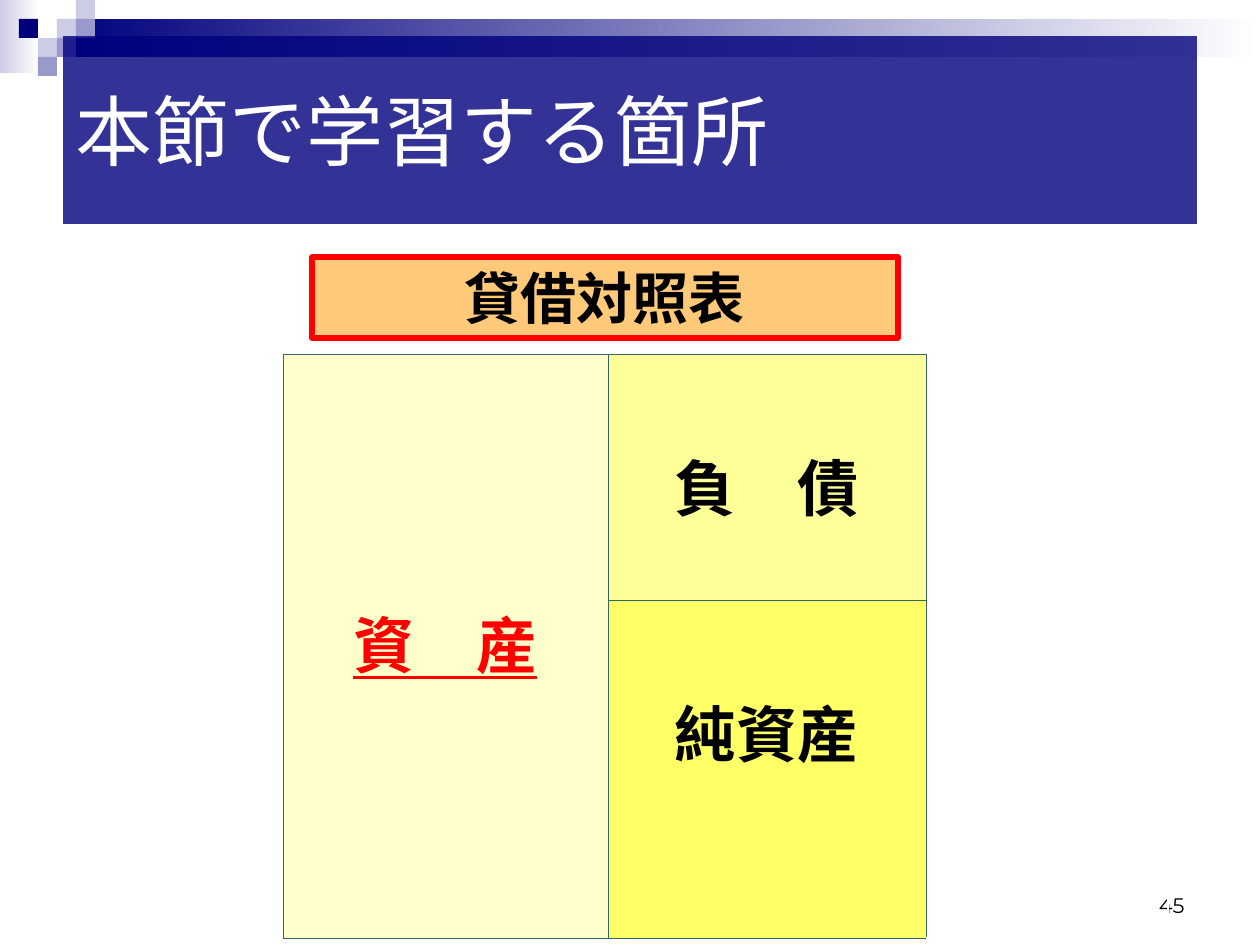
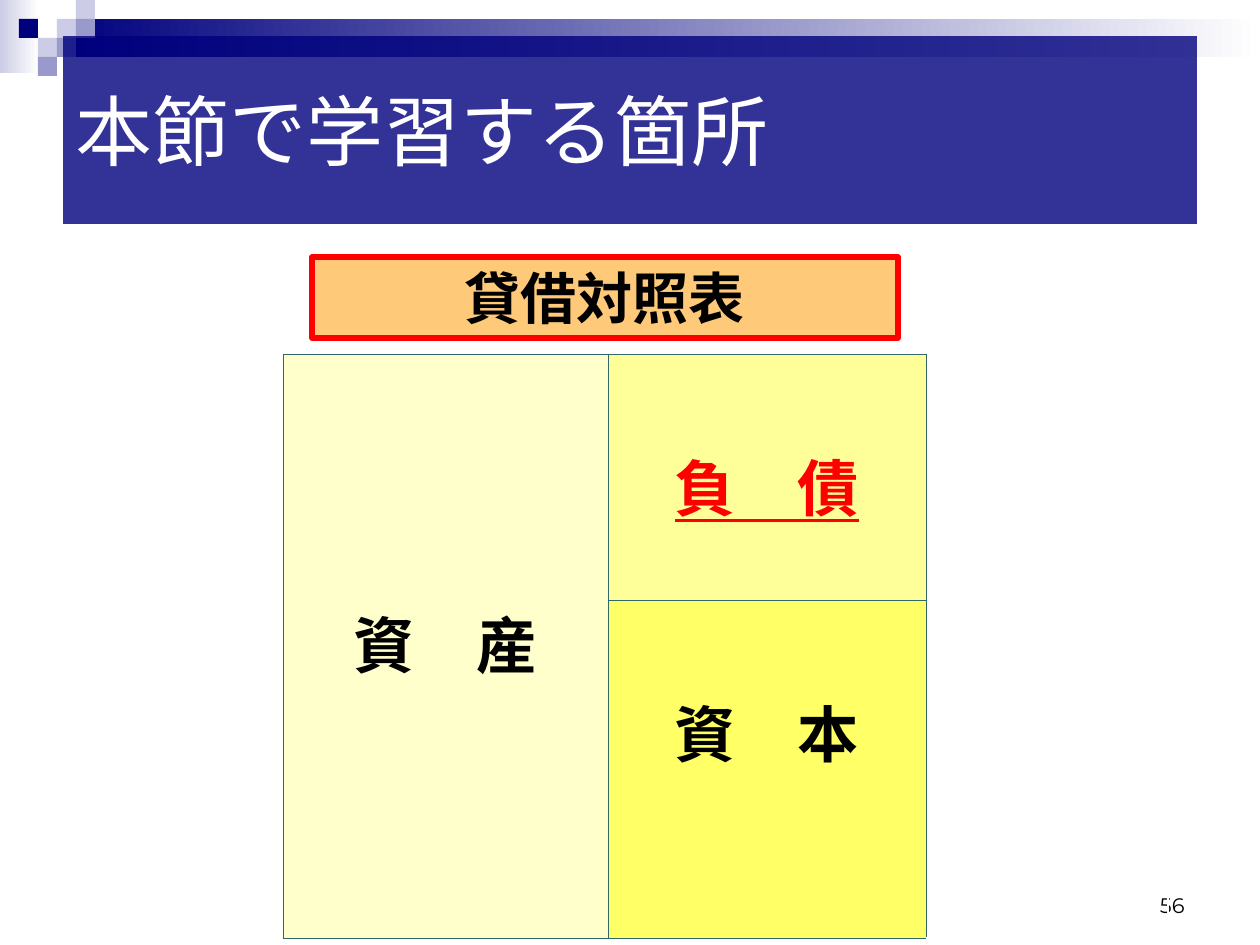
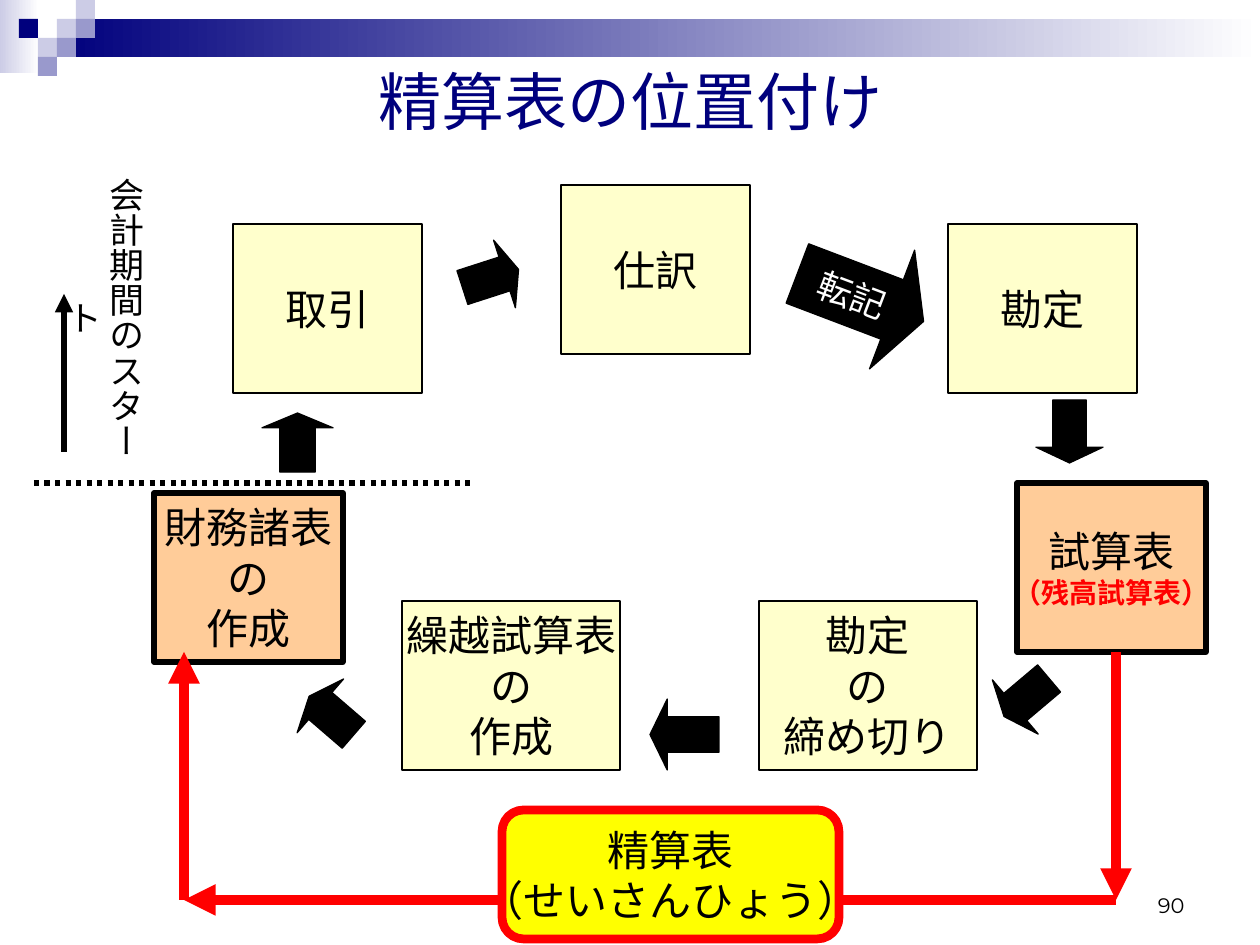
from lxml import etree
from pptx import Presentation
from pptx.dml.color import RGBColor
from pptx.enum.dml import MSO_LINE
from pptx.enum.shapes import MSO_CONNECTOR, MSO_SHAPE
from pptx.enum.text import MSO_ANCHOR, MSO_AUTO_SIZE, PP_ALIGN
from pptx.oxml.ns import qn
from pptx.util import Pt

RECT, ROUND, ARROW = MSO_SHAPE.RECTANGLE, MSO_SHAPE.ROUNDED_RECTANGLE, MSO_SHAPE.RIGHT_ARROW
STRAIGHT, DOTS = MSO_CONNECTOR.STRAIGHT, MSO_LINE.ROUND_DOT
LEFT, MID, RIGHT = PP_ALIGN.LEFT, PP_ALIGN.CENTER, PP_ALIGN.RIGHT
TOP, CENTER, BOTTOM = MSO_ANCHOR.TOP, MSO_ANCHOR.MIDDLE, MSO_ANCHOR.BOTTOM
FIXED = MSO_AUTO_SIZE.NONE
U = 914400 / 126

HEX = {
    "navy": "00007D", "pale": "CCCCE6", "lilac": "9999CC", "white": "FFFFFF",
    "black": "000000", "red": "FF0000", "orange": "FF9900", "peach": "FFCC99",
    "cream": "FFFFCC", "lemon": "FFFF99", "gold": "FFFF66", "yellow": "FFFF00",
    "teal": "336666",
}
RGB = {name: RGBColor.from_string(code) for name, code in HEX.items()}

HEAD = {"name": "Arial", "size": Pt(44), "color": "white"}
NAVY = {"name": "Arial", "size": Pt(36), "color": "navy"}
PAGE = {"name": "Montserrat", "size": Pt(12), "color": "black"}
SHEET = {"name": "Karla", "size": Pt(32), "bold": True, "color": "black"}
CELL = {"name": "Arial", "size": Pt(35), "bold": True, "color": "black"}
FOCUS = {**CELL, "underline": True, "color": "red"}
STEP = {"name": "Arial", "size": Pt(24), "color": "black"}
NOTE = {**STEP, "size": Pt(16), "bold": True, "color": "red"}
POST = {**STEP, "size": Pt(20), "color": "white"}
START = {**STEP, "size": Pt(20)}


def put(slide, kind, box, fill, line=None, width=0.75, alpha=None):
    shape = slide.shapes.add_shape(kind, *[round(v * U) for v in box])
    shape.shadow.inherit = False
    shape.fill.solid()
    shape.fill.fore_color.rgb = RGB[fill]
    if alpha:
        tone = shape.element.spPr.find(".//" + qn("a:srgbClr"))
        etree.SubElement(tone, qn("a:alpha"), val=str(alpha * 1000))
    if line:
        shape.line.color.rgb = RGB[line]
        shape.line.width = Pt(width)
    else:
        shape.line.fill.background()
    return shape


def write(frame, lines, style, align=MID, anchor=CENTER, wrap=True):
    frame.word_wrap = wrap
    frame.vertical_anchor = anchor
    for i, line in enumerate(lines):
        text, look = line if isinstance(line, tuple) else (line, style)
        para = frame.add_paragraph() if i else frame.paragraphs[0]
        para.alignment = align
        run = para.add_run()
        run.text = text
        for key, value in look.items():
            if key == "color":
                run.font.color.rgb = RGB[value]
            else:
                setattr(run.font, key, value)


deck = Presentation()
deck.slide_width, deck.slide_height = round(1260 * U), round(945 * U)
plain = deck.slide_layouts[5]
pages = [
    ("本節で学習する箇所", "45"),
    ("本節で学習する箇所", "56"),
    ("精算表の位置付け", "90"),
]
slides = []
for name, number in pages:
    slide = deck.slides.add_slide(plain)
    slides.append(slide)
    title = slide.shapes.title
    flow = number == "90"
    box = (63, 6, 1134, 189) if flow else (63, 36, 1134, 188)
    title.left, title.top, title.width, title.height = [round(v * U) for v in box]
    if not flow:
        title.fill.solid()
        title.fill.fore_color.rgb = RGB["navy"]
        tone = title.element.spPr.find(".//" + qn("a:srgbClr"))
        etree.SubElement(tone, qn("a:alpha"), val="80000")
    title.text_frame.auto_size = FIXED
    write(title.text_frame, [name], NAVY if flow else HEAD, MID if flow else LEFT)
    foot = slide.shapes.add_textbox(*[round(v * U) for v in (903, 861, 294, 63)])
    write(foot.text_frame, [number], PAGE, RIGHT, BOTTOM)

decor = []
for box, tint in [((0, 0, 39, 73), "pale"), ((57, 19, 1203, 38), "navy")]:
    band = put(slides[0], RECT, box, tint)
    band.fill.gradient()
    band.fill.gradient_angle = 0
    for stop, tone, place in zip(band.fill.gradient_stops, (tint, "white"), (0, 1)):
        stop.color.rgb = RGB[tone]
        stop.position = place
    decor.append(band)
tiles = [
    (3, 1, "pale"), (4, 0, "pale"), (4, 1, "lilac"), (2, 2, "pale"),
    (1, 1, "navy"), (3, 2, "lilac"), (2, 3, "lilac"),
]
for col, row, tint in tiles:
    decor.append(put(slides[0], RECT, (col * 19, row * 19, 19, 19), tint))
tree = deck.slide_master.shapes.element
for i, shape in enumerate(decor):
    shape.element.nvSpPr.cNvPr.set("id", str(100 + i))
    tree.insert(2 + i, shape.element)

sheets = [
    [("資　産", FOCUS), ("負　債", CELL), ("純資産", CELL)],
    [("資　産", CELL), ("負　債", FOCUS), ("資　本", CELL)],
]
spots = [(0, 1, "cream", 243), (0, 2, "lemon", 86), (1, 2, "gold", 86)]
edges = ["R", "LRTB", "LRTB", "L"]
for slide, words in zip(slides, sheets):
    area = [round(v * U) for v in (95, 354, 1073, 584)]
    table = slide.shapes.add_table(2, 4, *area).table
    table.first_row = table.horz_banding = False
    for col, width in zip(table.columns, (188, 325, 318, 242)):
        col.width = round(width * U)
    for row, height in zip(table.rows, (246, 338)):
        row.height = round(height * U)
    for c in (0, 1, 3):
        table.cell(0, c).merge(table.cell(1, c))
    for r in range(2):
        for c, sides in enumerate(edges):
            cell = table.cell(r, c)
            props = cell._tc.get_or_add_tcPr()
            for side in sides:
                edge = etree.SubElement(props, qn("a:ln" + side), w="5715")
                solid = etree.SubElement(edge, qn("a:solidFill"))
                etree.SubElement(solid, qn("a:srgbClr"), val=HEX["teal"])
            cell.fill.background()
    for (r, c, tint, inset), word in zip(spots, words):
        cell = table.cell(r, c)
        cell.fill.solid()
        cell.fill.fore_color.rgb = RGB[tint]
        cell.margin_top = round(inset * U)
        cell.vertical_anchor = TOP
        write(cell.text_frame, [word], CELL, anchor=TOP)
    label = put(slide, RECT, (312, 257, 586, 81), "orange", "red", 3, 52)
    write(label.text_frame, ["貸借対照表"], SHEET)

cycle = slides[2]
arrows = [
    (793, 234, 135, 127, 20.8), (1038, 398, 63, 67, 90), (997, 662, 59, 71, 139.8),
    (302, 680, 59, 71, 220.8), (268, 407, 59, 71, 270), (461, 243, 59, 71, 342.1),
    (650, 699, 69, 71, 180),
]
for *box, turn in arrows:
    arrow = put(cycle, ARROW, box, "black", "black")
    arrow.rotation = turn
    arrow.adjustments[0] = 0.5
    arrow.adjustments[1] = 0.25
    if turn == 20.8:
        arrow.adjustments[1] = 0.265
        write(arrow.text_frame, ["転記"], POST, wrap=False)

era = cycle.shapes.add_textbox(*[round(v * U) for v in (45, 165, 108, 318)])
body = era.element.txBody.bodyPr
body.set("vert", "eaVert")
for side, inset in {"left": 6, "top": 13, "right": 6, "bottom": 13}.items():
    setattr(era.text_frame, "margin_" + side, round(inset * U))
write(era.text_frame, ["会計期間のスタート"], START, anchor=TOP)

steps = [
    ((561, 185, 189, 169), "cream", 0.75, ["仕訳"]),
    ((948, 224, 189, 169), "cream", 0.75, ["勘定"]),
    ((233, 224, 189, 169), "cream", 0.75, ["取引"]),
    ((154, 493, 189, 169), "peach", 3, ["財務諸表", "の", "作成"]),
    ((402, 601, 218, 169), "cream", 0.75, ["繰越試算表", "の", "作成"]),
    ((759, 601, 218, 169), "cream", 0.75, ["勘定", "の", "締め切り"]),
    ((1017, 483, 189, 169), "peach", 3, ["試算表", ("（残高試算表）", NOTE)]),
]
for box, tint, width, lines in steps:
    step = put(cycle, RECT, box, tint, "black", width)
    write(step.text_frame, lines, STEP, wrap=False)

links = [
    ((34, 483, 471, 483), "black", 3, False),
    ((64, 452, 64, 294), "black", 3.5, True),
    ((1116, 652, 1116, 900), "red", 6, True),
    ((1116, 900, 184, 900), "red", 6, True),
    ((184, 900, 184, 652), "red", 6, True),
]
for ends, tint, width, tip in links:
    link = cycle.shapes.add_connector(STRAIGHT, *[round(v * U) for v in ends])
    link.line.color.rgb = RGB[tint]
    link.line.width = Pt(width)
    if tip:
        etree.SubElement(link.line._get_or_add_ln(), qn("a:tailEnd"), type="triangle")
    else:
        link.line.dash_style = DOTS
    etree.SubElement(link.element.spPr, qn("a:effectLst"))

goal = put(cycle, ROUND, (502, 810, 337, 129), "yellow", "red", 5)
goal.adjustments[0] = 0.167
write(goal.text_frame, ["精算表", "（せいさんひょう）"], STEP, wrap=False)

deck.save("out.pptx")
